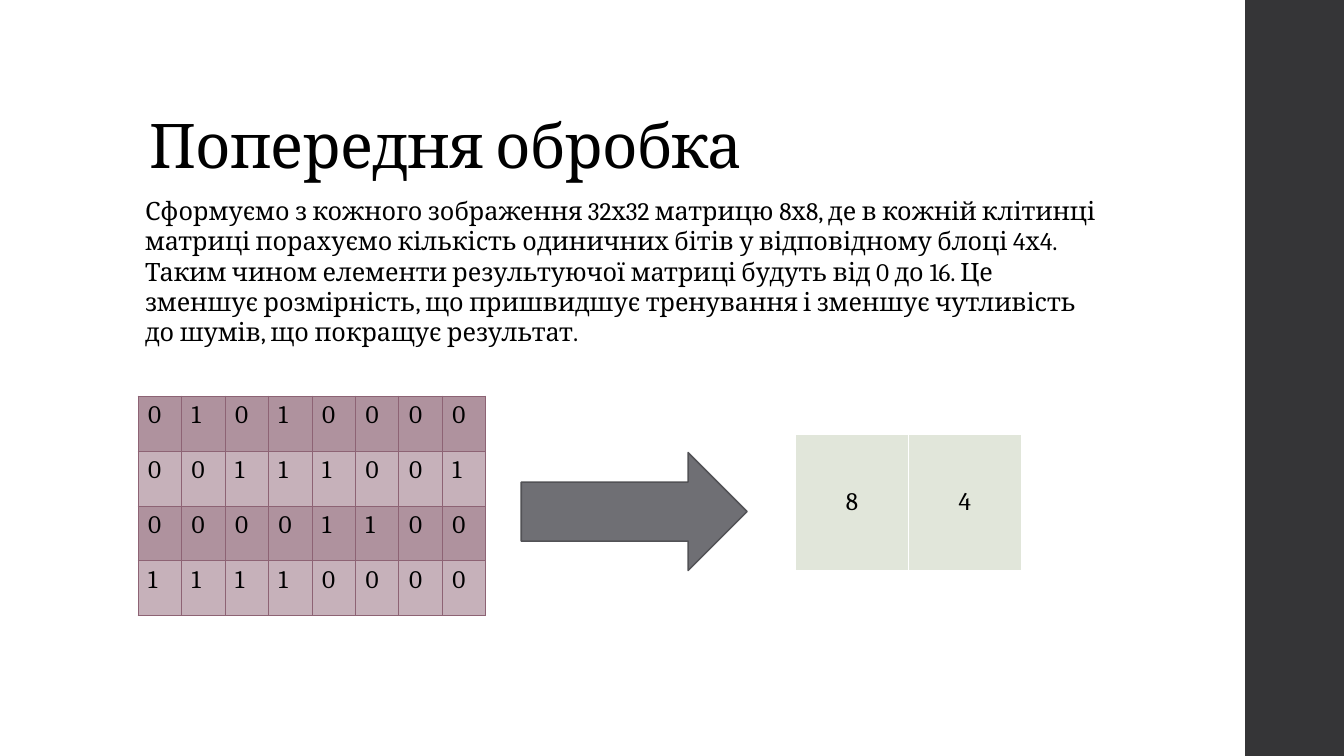
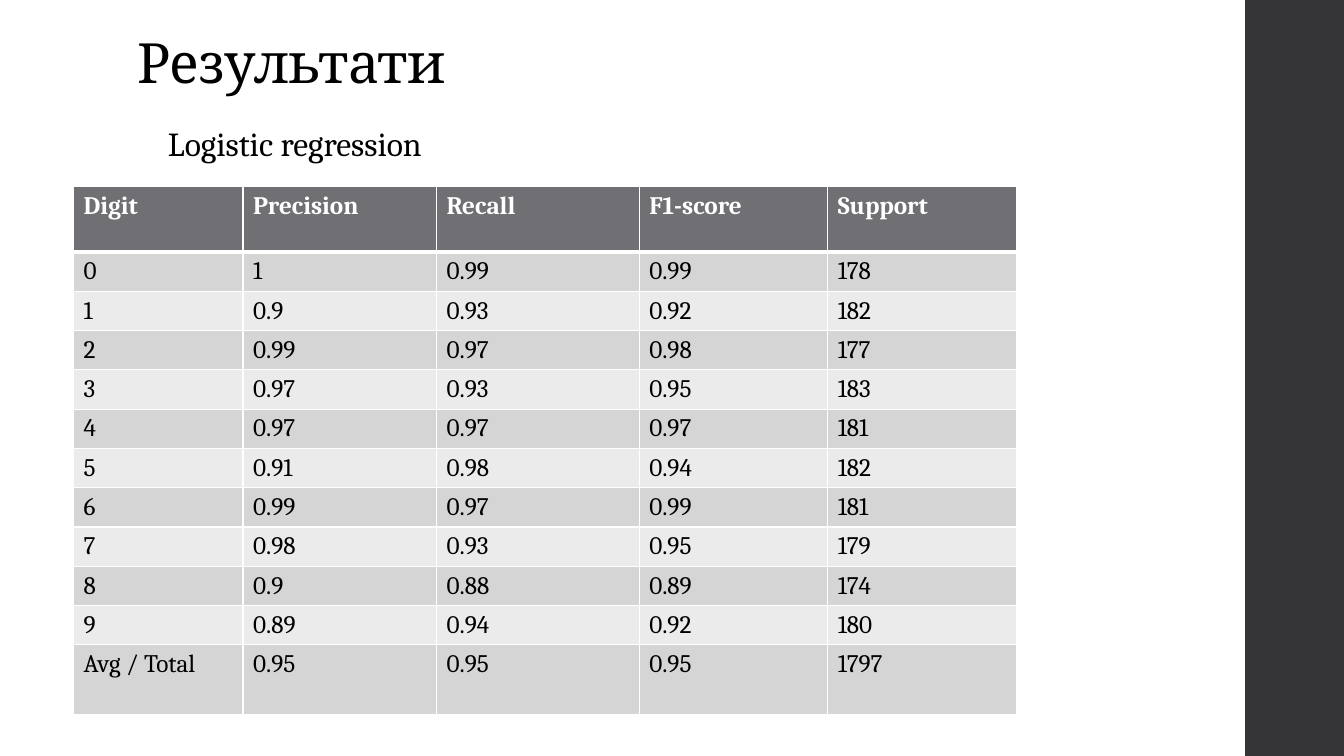
from lxml.etree import SubElement
from pptx import Presentation
from pptx.dml.color import RGBColor
from pptx.enum.shapes import MSO_SHAPE as Shape
from pptx.enum.text import MSO_ANCHOR as Anchor, MSO_AUTO_SIZE as AutoSize, PP_ALIGN as Align
from pptx.oxml.ns import qn
from pptx.util import Inches, Pt

FONT = "Cambria"
BLACK, WHITE = "000000", "FFFFFF"
BAND, GREY, GREY_EDGE = "353537", "6F6F74", "525256"
ROW_DARK, ROW_LIGHT = "D5D5D6", "EBEBEB"
PLUM, PLUM_DARK, PLUM_LIGHT = "8D6374", "AF929E", "C6B1BA"
SAGE = "E1E6DA"


def color(value):
    return RGBColor.from_string(value)


def paint(target, value):
    target.fill.solid()
    target.fill.fore_color.rgb = color(value)


def write(frame, text, size=18, ink=BLACK, bold=False, align=Align.LEFT):
    para = frame.paragraphs[0]
    para.alignment = align
    span = para.add_run()
    span.text = text
    font = span.font
    font.name, font.size, font.bold = FONT, Pt(size), bold
    font.color.rgb = color(ink)
    return para


def add_shape(page, kind, box, fill, edge=None):
    shape = page.shapes.add_shape(kind, *map(Inches, box))
    shape.shadow.inherit = False
    paint(shape, fill)
    if edge:
        shape.line.color.rgb = color(edge)
        shape.line.width = Pt(1.1)
    else:
        shape.line.fill.background()
    return shape


def add_side_band(page):
    band = add_shape(page, Shape.RECTANGLE, (12.35, 0, 1, 7.5), BAND)
    band.element.xpath("./p:nvSpPr/p:cNvPr")[0].set("id", "20")
    page.slide_layout.shapes.element.append(band.element)


def set_title(page, text, box, size=44):
    title = page.shapes.title
    title.left, title.top, title.width, title.height = map(Inches, box)
    frame = title.text_frame
    frame.word_wrap = True
    frame.auto_size = AutoSize.NONE
    frame.vertical_anchor = Anchor.BOTTOM
    write(frame, text, size).line_spacing = 0.9
    for style in title.element.iter(qn("a:rPr")):
        style.set("spc", "-50")


def add_text(page, text, box, size=18, align=Align.LEFT):
    frame = page.shapes.add_textbox(*map(Inches, box)).text_frame
    frame.word_wrap = True
    frame.auto_size = AutoSize.SHAPE_TO_FIT_TEXT
    write(frame, text, size, align=align)


def set_borders(cell, ink, width, bottom):
    style = cell.get_or_add_tcPr()
    for place, side in enumerate(("lnL", "lnR", "lnT", "lnB")):
        weight = bottom if side == "lnB" else width
        line = SubElement(style, qn(f"a:{side}"), w=str(Pt(weight)))
        fill = SubElement(line, qn("a:solidFill"))
        SubElement(fill, qn("a:srgbClr"), val=ink)
        style.insert(place, line)


def add_grid(page, box, rows, widths, heights, fills, border, width=1, header=False,
             align=Align.LEFT, anchor=Anchor.TOP):
    holder = page.shapes.add_table(len(rows), len(widths), *map(Inches, box))
    table = holder.table
    table.first_row, table.horz_banding = header, False
    for column, size in zip(table.columns, widths):
        column.width = Inches(size)
    for index, (row, height, values) in enumerate(zip(table.rows, heights, rows)):
        row.height = Inches(height)
        heading = header and index == 0
        fill = GREY if heading else fills[(index - header) % len(fills)]
        for cell, value in zip(row.cells, values):
            paint(cell, fill)
            cell.vertical_anchor = anchor
            write(cell.text_frame, value, ink=WHITE if heading else BLACK,
                  bold=heading, align=align)
    for index, cell in enumerate(holder.element.iter(qn("a:tc"))):
        heading = header and index < len(widths)
        set_borders(cell, border, width, 3 if heading else width)


def add_block_diagram(page, left, top):
    bits = ["01010000", "00111001", "00001100", "11110000"]
    add_grid(page, (left, top, 3.45, 2.18), bits, [3.45 / 8] * 8, [2.18 / 4] * 4,
             [PLUM_DARK, PLUM_LIGHT], PLUM, 0.75)
    add_shape(page, Shape.RIGHT_ARROW, (left + 3.8, top + 0.56, 2.24, 1.17), GREY, GREY_EDGE)
    add_grid(page, (left + 6.52, top + 0.38, 2.24, 1.35), ["84"], [1.12] * 2, [1.35],
             [SAGE], WHITE, align=Align.CENTER, anchor=Anchor.MIDDLE)


def build_preprocessing(page):
    set_title(page, "Попередня обробка", (1.38, 0.4, 10.6, 1.45))
    add_text(page, "Сформуємо з кожного зображення 32х32 матрицю 8х8, де в кожній клітинці "
             "матриці порахуємо кількість одиничних бітів у відповідному блоці 4х4. Таким "
             "чином елементи результуючої матриці будуть від 0 до 16. Це зменшує "
             "розмірність, що пришвидшує тренування і зменшує чутливість до шумів, що "
             "покращує результат.", (1.34, 1.89, 9.65, 1.62))
    add_block_diagram(page, 1.37, 3.93)


def build_results(page):
    set_title(page, "Результати", (1.26, 0.36, 5.28, 0.64), 39.6)
    scores = [
        ("Digit", "Precision", "Recall", "F1-score", "Support"),
        ("0", "1", "0.99", "0.99", "178"),
        ("1", "0.9", "0.93", "0.92", "182"),
        ("2", "0.99", "0.97", "0.98", "177"),
        ("3", "0.97", "0.93", "0.95", "183"),
        ("4", "0.97", "0.97", "0.97", "181"),
        ("5", "0.91", "0.98", "0.94", "182"),
        ("6", "0.99", "0.97", "0.99", "181"),
        ("7", "0.98", "0.93", "0.95", "179"),
        ("8", "0.9", "0.88", "0.89", "174"),
        ("9", "0.89", "0.94", "0.92", "180"),
        ("Avg / Total", "0.95", "0.95", "0.95", "1797"),
    ]
    add_grid(page, (0.73, 1.85, 9.35, 5.35), scores, [1.68, 1.92, 2.01, 1.87, 1.87],
             [0.65] + [0.39] * 10 + [0.69], [ROW_DARK, ROW_LIGHT], WHITE, header=True)
    add_text(page, "Logistic regression", (1.26, 1.17, 3.33, 0.5), 24, Align.CENTER)


deck = Presentation()
deck.slide_width, deck.slide_height = Inches(13.33), Inches(7.5)
title_only = deck.slide_layouts.get_by_name("Title Only")
pages = [deck.slides.add_slide(title_only) for _ in range(2)]
add_side_band(pages[0])
build_preprocessing(pages[0])
build_results(pages[1])
deck.save("out.pptx")
